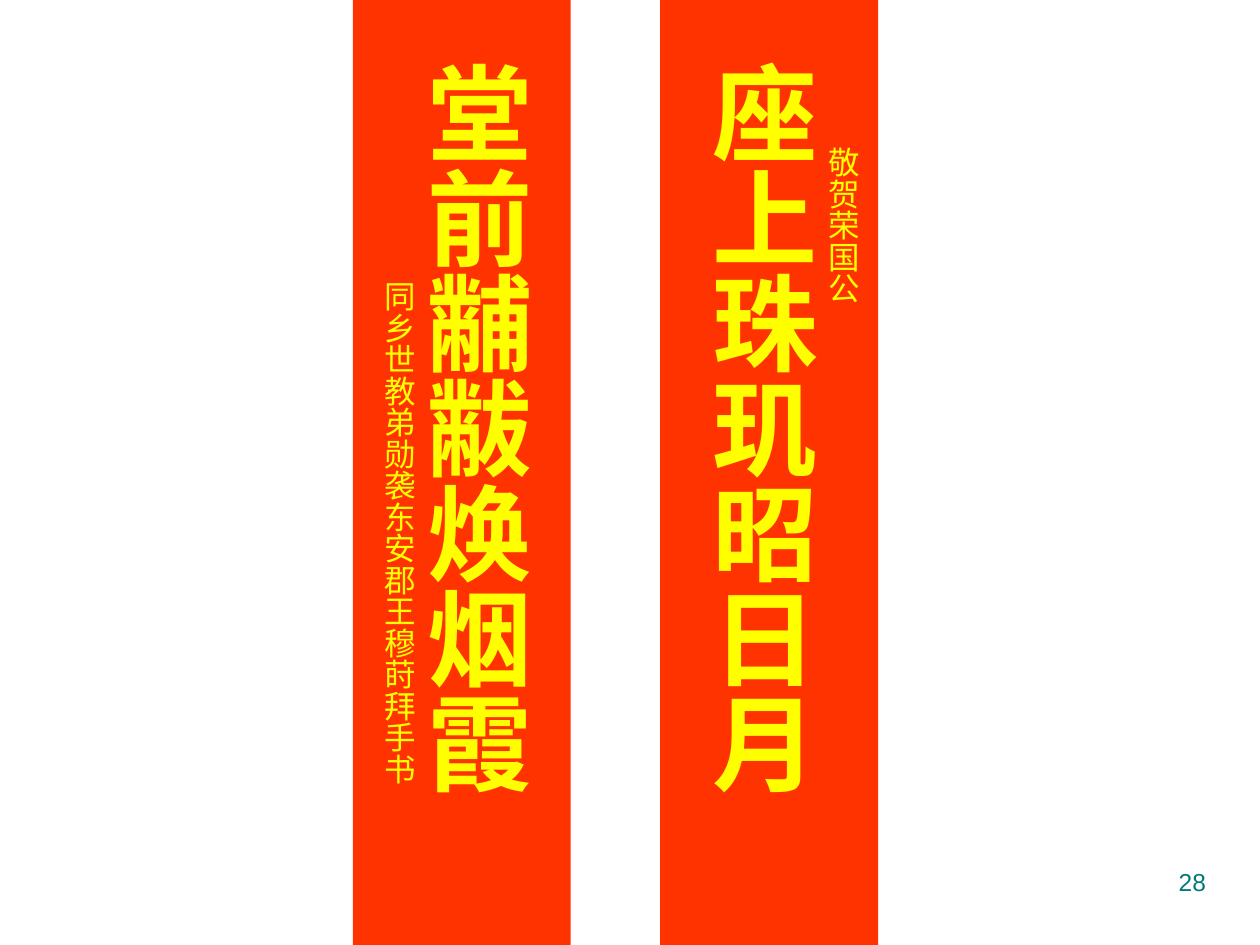
import dataclasses

import pptx
import pptx.dml.color
import pptx.enum.shapes
import pptx.enum.text
import pptx.util

Inches = pptx.util.Inches
Align = pptx.enum.text.PP_ALIGN
RED = pptx.dml.color.RGBColor(0xFF, 0x33, 0x00)
YELLOW = pptx.dml.color.RGBColor(0xFF, 0xFF, 0x00)
TEAL = pptx.dml.color.RGBColor(0x00, 0x7A, 0x77)


@dataclasses.dataclass
class Label:
    text: str
    left: float
    top: float
    width: float
    height: float
    size: int
    align: Align = Align.LEFT
    color: pptx.dml.color.RGBColor = YELLOW
    bold: bool = False
    upright: bool = True


SCROLLS = (5.24, 2.8)
LABELS = (
    Label("28", 7.17, 6.83, 2.5, 0.52, 14, Align.RIGHT, TEAL, upright=False),
    Label("座上珠玑昭日月", 5.39, 0.39, 1.2, 6.93, 60, Align.CENTER, bold=True),
    Label("堂前黼黻焕烟霞", 3.13, 0.39, 1.2, 6.93, 60, Align.CENTER, bold=True),
    Label("同乡世教弟勋袭东安郡王穆莳拜手书", 2.87, 2.13, 0.5, 4.65, 18),
    Label("敬贺荣国公", 6.39, 1.07, 0.5, 1.81, 18),
)


def add_scroll(slide: pptx.slide.Slide, left: float) -> None:
    scroll = slide.shapes.add_shape(
        pptx.enum.shapes.MSO_SHAPE.RECTANGLE,
        Inches(left), Inches(0), Inches(1.73), Inches(7.5))
    scroll.shadow.inherit = False
    scroll.fill.solid()
    scroll.fill.fore_color.rgb = RED
    scroll.line.fill.background()


def add_label(slide: pptx.slide.Slide, label: Label) -> None:
    """Add a text box, set in a vertical column when upright."""
    box = slide.shapes.add_textbox(
        Inches(label.left), Inches(label.top),
        Inches(label.width), Inches(label.height))
    frame = box.text_frame
    frame.word_wrap = True
    if label.upright:
        frame.auto_size = pptx.enum.text.MSO_AUTO_SIZE.SHAPE_TO_FIT_TEXT
        box.element.txBody.bodyPr.set("vert", "eaVert")
    line = frame.paragraphs[0]
    line.text = label.text
    line.alignment = label.align
    line.font.name = "Arial"
    line.font.size = pptx.util.Pt(label.size)
    line.font.bold = label.bold
    line.font.color.rgb = label.color


def main() -> None:
    deck = pptx.Presentation()
    deck.slide_width = Inches(10)
    deck.slide_height = Inches(7.5)
    slide = deck.slides.add_slide(deck.slide_layouts[6])
    for left in SCROLLS:
        add_scroll(slide, left)
    for label in LABELS:
        add_label(slide, label)
    deck.save("out.pptx")


if __name__ == "__main__":
    main()
